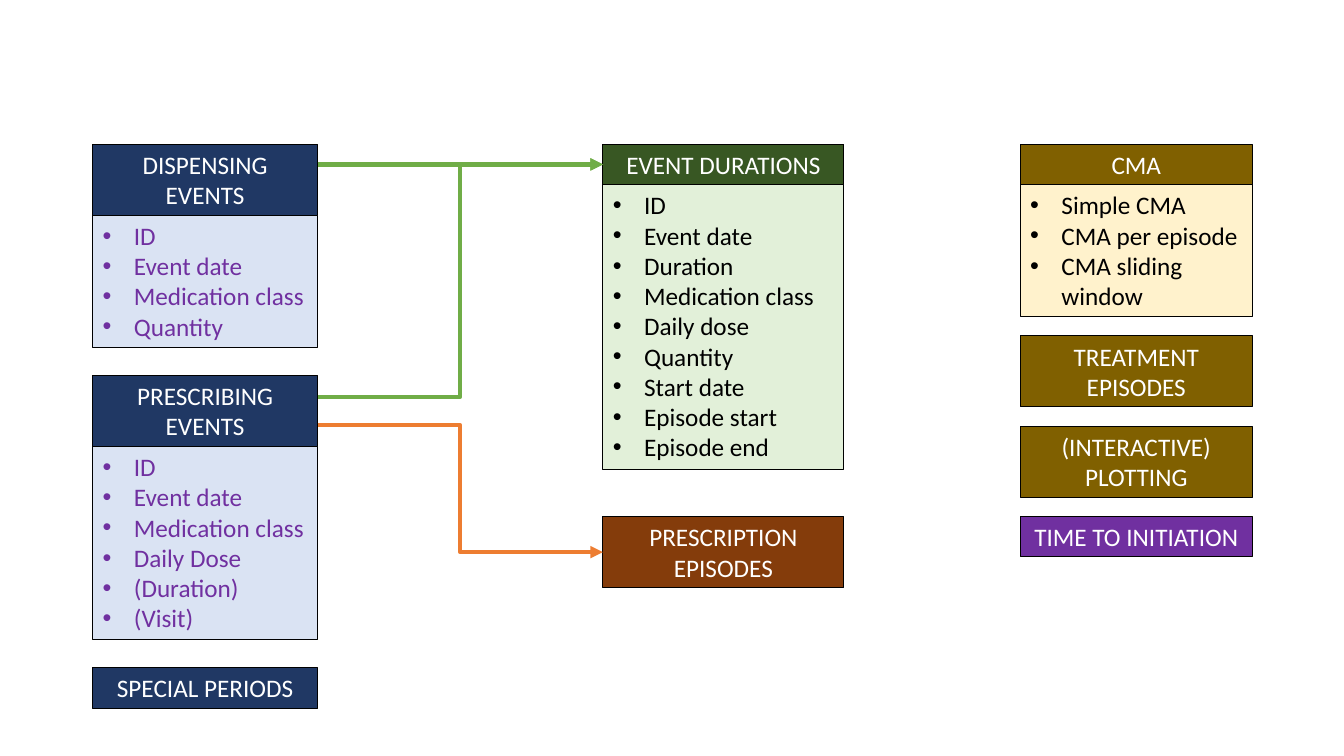
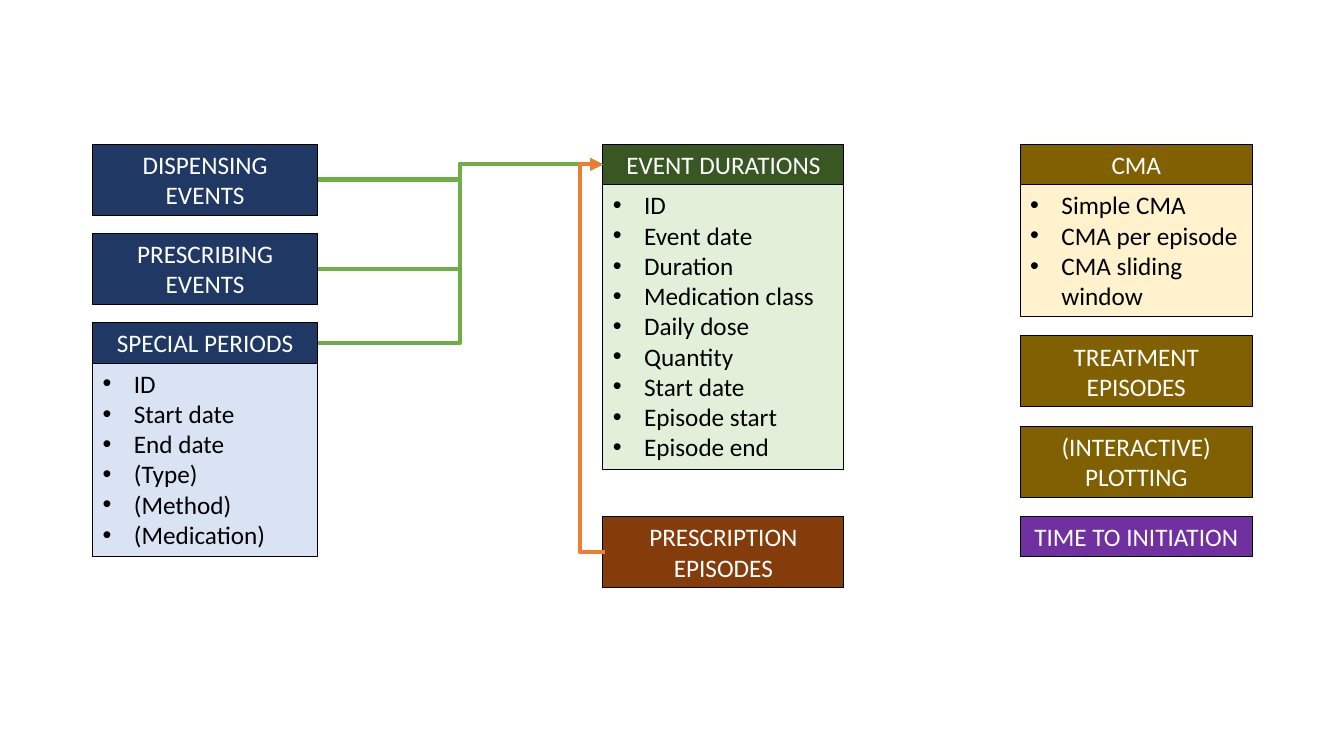
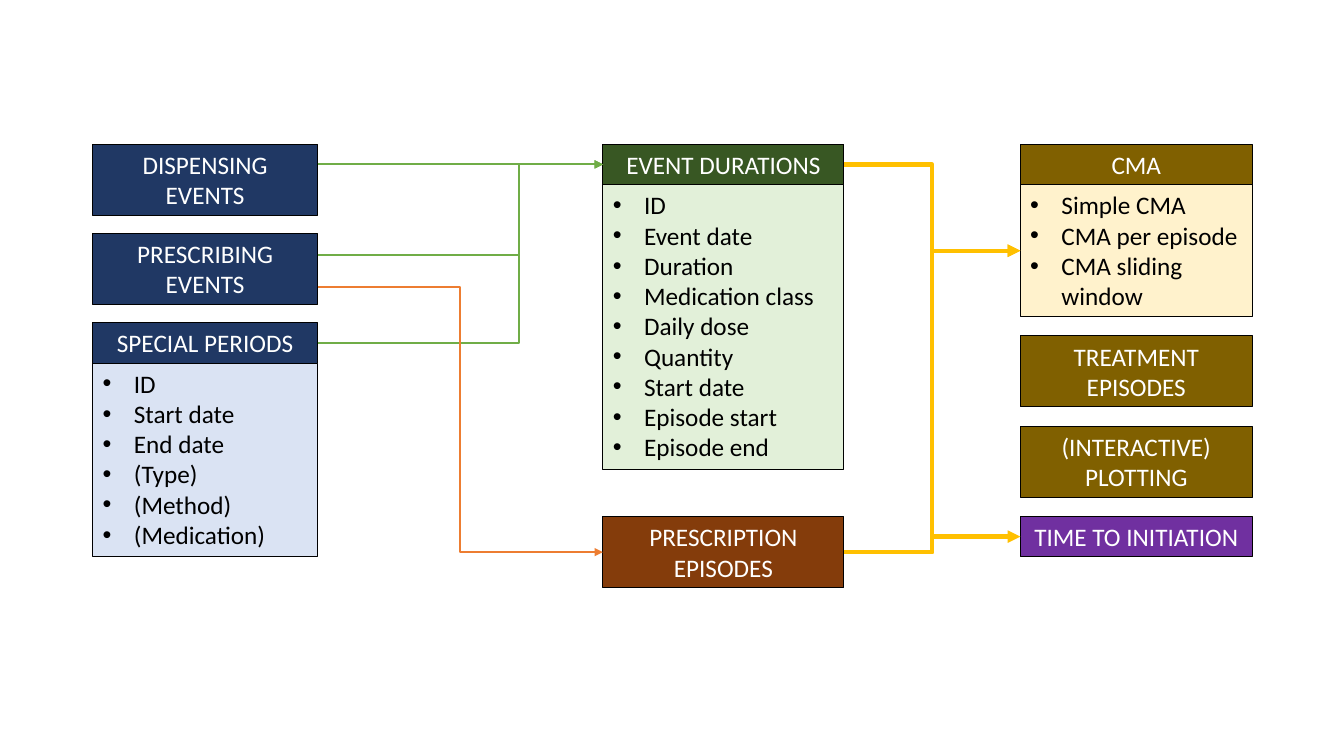
"""Build three slides that show how medication event tables feed the analyses."""
from dataclasses import dataclass

from lxml import etree
from pptx import Presentation
from pptx import util as u
from pptx.dml.color import RGBColor
from pptx.enum import shapes, text
from pptx.oxml.ns import qn


@dataclass(frozen=True)
class Theme:
    font: str = "Calibri"
    size: float = 18
    border: float = 0.75
    thick: float = 3
    thin: float = 1.5
    black: str = "000000"
    white: str = "FFFFFF"
    navy: str = "203864"
    sky: str = "DAE3F3"
    forest: str = "385723"
    mint: str = "E2F0D9"
    rust: str = "843C0B"
    olive: str = "806000"
    cream: str = "FFF2CC"
    purple: str = "7030A0"
    green: str = "70AD47"
    orange: str = "ED7D31"
    gold: str = "FFC000"


T = Theme()
WIDTH, HEIGHT = 13.33, 7.5
TOP, PAD, INDENT = 1.43, 0.1, 0.31
LINE = T.size * 1.21 / 72
COLUMNS = {"source": (0.92, 2.23), "episode": (5.98, 2.39), "analysis": (10.12, 2.3)}


def card(title, fill, rows=2, items=(), body=None, color=T.black, body_rows=None):
    return dict(title=title, fill=fill, rows=rows, items=items, body=body, color=color,
                body_rows=body_rows or len(items))


DISPENSING, PRESCRIBING, PERIODS = "DISPENSING EVENTS", "PRESCRIBING EVENTS", "SPECIAL PERIODS"
DURATIONS, PRESCRIPTION = "EVENT DURATIONS", "PRESCRIPTION EPISODES"
CMA, INITIATION = "CMA", "TIME TO INITIATION"

INPUT_DETAIL = [
    card(DISPENSING, T.navy, body=T.sky, color=T.purple,
         items=("ID", "Event date", "Medication class", "Quantity")),
    card(PRESCRIBING, T.navy, body=T.sky, color=T.purple,
         items=("ID", "Event date", "Medication class", "Daily Dose", "(Duration)", "(Visit)")),
    card(PERIODS, T.navy, rows=1),
]
PERIOD_DETAIL = [
    card(DISPENSING, T.navy),
    card(PRESCRIBING, T.navy),
    card(PERIODS, T.navy, rows=1, body=T.sky,
         items=("ID", "Start date", "End date", "(Type)", "(Method)", "(Medication)")),
]
EPISODES = [
    card(DURATIONS, T.forest, rows=1, body=T.mint,
         items=("ID", "Event date", "Duration", "Medication class", "Daily dose", "Quantity",
                "Start date", "Episode start", "Episode end")),
    card(PRESCRIPTION, T.rust),
]
ANALYSES = [
    card(CMA, T.olive, rows=1, body=T.cream, body_rows=4,
         items=("Simple CMA", "CMA per episode", "CMA sliding window")),
    card("TREATMENT EPISODES", T.olive),
    card("(INTERACTIVE) PLOTTING", T.olive),
    card(INITIATION, T.purple, rows=1),
]


def link(start, end, color, width=T.thick, at=0.5, mid=None, side="right", part="title"):
    return dict(start=start, end=end, color=color, width=width, at=at, mid=mid, side=side, part=part)


SLIDES = [
    dict(sources=INPUT_DETAIL, gap=0.28, links=[
        link(PRESCRIBING, DURATIONS, T.green, at=0.3),
        link(PRESCRIBING, PRESCRIPTION, T.orange, at=0.7),
        link(DISPENSING, DURATIONS, T.green, at=0.29),
    ]),
    dict(sources=PERIOD_DETAIL, gap=0.18, links=[
        *(link(name, DURATIONS, T.green) for name in (DISPENSING, PRESCRIBING, PERIODS)),
        link(PRESCRIPTION, DURATIONS, T.orange, mid=5.75, side="left"),
    ]),
    dict(sources=PERIOD_DETAIL, gap=0.18, links=[
        link(PERIODS, DURATIONS, T.green, T.thin, mid=5.15),
        link(PRESCRIBING, DURATIONS, T.green, T.thin, at=0.3, mid=5.15),
        link(DURATIONS, CMA, T.gold, part="list"),
        link(PRESCRIPTION, CMA, T.gold, part="list"),
        link(PRESCRIBING, PRESCRIPTION, T.orange, T.thin, at=0.75),
        link(DISPENSING, DURATIONS, T.green, T.thin, at=0.29),
        link(PRESCRIPTION, INITIATION, T.gold),
    ]),
]


def write(p, content, color, bullet=False):
    r = p.add_run()
    r.text = content
    r.font.name, r.font.size = T.font, u.Pt(T.size)
    r.font.color.rgb = RGBColor.from_string(color)
    p.alignment = text.PP_ALIGN.LEFT if bullet else text.PP_ALIGN.CENTER
    if bullet:
        ppr = p._p.get_or_add_pPr()
        ppr.set("marL", str(u.Inches(INDENT)))
        ppr.set("indent", str(-u.Inches(INDENT)))
        etree.SubElement(ppr, qn("a:buFont")).set("typeface", "Arial")
        etree.SubElement(ppr, qn("a:buChar")).set("char", "•")


def add_box(s, box, fill, lines, color, bullet=False):
    sp = s.shapes.add_shape(shapes.MSO_SHAPE.RECTANGLE, *(u.Inches(v) for v in box))
    sp.shadow.inherit = False
    sp.fill.solid()
    sp.fill.fore_color.rgb = RGBColor.from_string(fill)
    sp.line.color.rgb = RGBColor.from_string(T.black)
    sp.line.width = u.Pt(T.border)
    tf = sp.text_frame
    tf.word_wrap = True
    tf.auto_size = text.MSO_AUTO_SIZE.SHAPE_TO_FIT_TEXT
    tf.vertical_anchor = text.MSO_ANCHOR.TOP
    for i, content in enumerate(lines):
        p = tf.add_paragraph() if i else tf.paragraphs[0]
        write(p, content, color, bullet)


def add_column(s, column, cards, gap):
    x, w = COLUMNS[column]
    y, boxes = TOP, {}
    for c in cards:
        h = PAD + c["rows"] * LINE
        boxes[c["title"], "title"] = x, y, w, h
        add_box(s, (x, y, w, h), c["fill"], [c["title"]], T.white)
        y += h
        if c["items"]:
            h = PAD + c["body_rows"] * LINE
            boxes[c["title"], "list"] = x, y, w, h
            add_box(s, (x, y, w, h), c["body"], c["items"], c["color"], bullet=True)
            y += h
        y += gap
    return boxes


def add_link(s, boxes, start, end, color, width, at, mid, side, part):
    x, y, w, h = boxes[start, "title"]
    x1, y1 = (x + w if side == "right" else x + 0.02), y + at * h
    x2, y2, _, h2 = boxes[end, part]
    y2 += h2 / 2
    straight = abs(y2 - y1) < 0.02
    kind = shapes.MSO_CONNECTOR.STRAIGHT if straight else shapes.MSO_CONNECTOR.ELBOW
    cn = s.shapes.add_connector(kind, *(u.Inches(v) for v in (x1, y2 if straight else y1, x2, y2)))
    cn.line.color.rgb = RGBColor.from_string(color)
    cn.line.width = u.Pt(width)
    etree.SubElement(cn.line._get_or_add_ln(), qn("a:tailEnd")).set("type", "triangle")
    sppr = cn._element.spPr
    etree.SubElement(sppr, qn("a:effectLst"))
    if mid:
        geom = sppr.find(qn("a:prstGeom"))
        av = geom.find(qn("a:avLst"))
        if av is None:
            av = etree.SubElement(geom, qn("a:avLst"))
        gd = etree.SubElement(av, qn("a:gd"))
        gd.set("name", "adj1")
        gd.set("fmla", f"val {round((mid - x1) / (x2 - x1) * 100000)}")


def main():
    prs = Presentation()
    prs.slide_width, prs.slide_height = u.Inches(WIDTH), u.Inches(HEIGHT)
    for page in SLIDES:
        s = prs.slides.add_slide(prs.slide_layouts[6])
        boxes = add_column(s, "source", page["sources"], page["gap"])
        boxes |= add_column(s, "episode", EPISODES, 0.47)
        boxes |= add_column(s, "analysis", ANALYSES, 0.19)
        for spec_link in page["links"]:
            add_link(s, boxes, **spec_link)
    prs.save("out.pptx")


if __name__ == "__main__":
    main()
